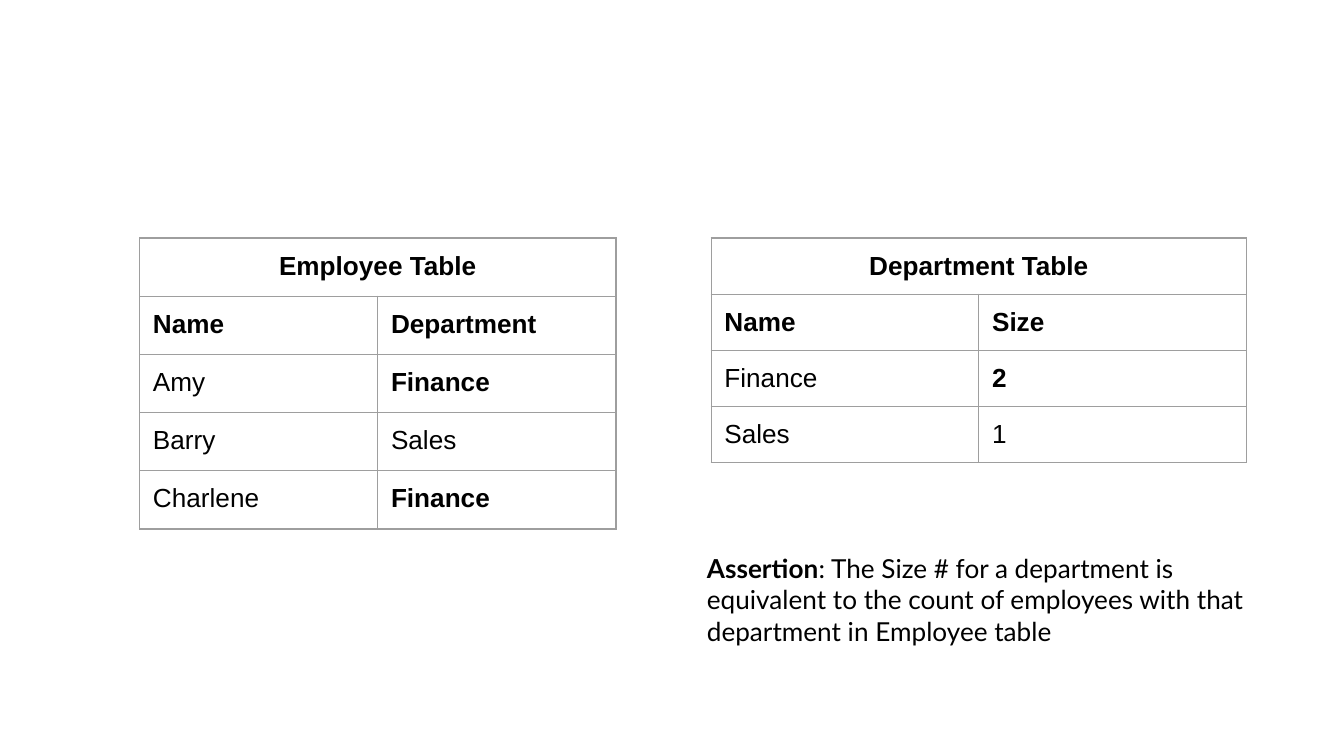
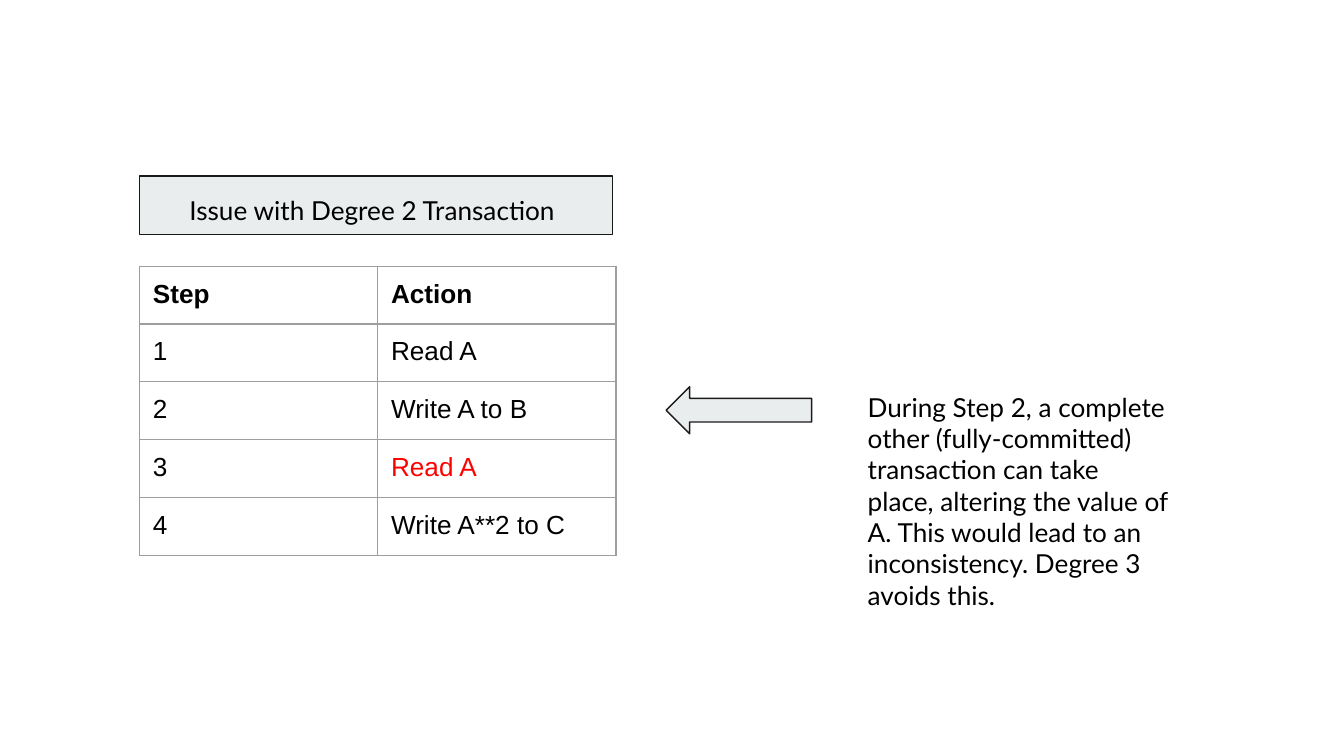
from lxml.etree import SubElement
from pptx import Presentation
from pptx.dml.color import RGBColor
from pptx.enum.shapes import MSO_SHAPE
from pptx.enum.text import MSO_ANCHOR, PP_ALIGN
from pptx.oxml.ns import qn
from pptx.util import Cm, Pt

BLACK, RED, GREY = "000000", "FF0000", "9E9E9E"
PANEL, OUTLINE = "E9EDEE", "1A1A1A"
BODY_FONT, TABLE_FONT = "Lato", "Arial"
TEXT_SIZE, LINE_WIDTH = Pt(14), Pt(0.75)
MARGIN = Cm(0.25)
LEFT = 2.64


def color(value):
    """Turn a hex string into a colour."""
    return RGBColor.from_string(value)


def style_font(font, name, bold=False, shade=BLACK):
    """Give a font the shared size and the chosen look."""
    font.name, font.size, font.bold = name, TEXT_SIZE, bold
    font.color.rgb = color(shade)


def set_margins(target):
    """Apply the shared inset to a cell or text frame."""
    target.margin_left = target.margin_right = MARGIN
    target.margin_top = target.margin_bottom = MARGIN


def add_borders(cell):
    """Draw a thin grey line on all four sides of a cell."""
    properties = cell._tc.get_or_add_tcPr()
    for side in ("lnL", "lnR", "lnT", "lnB"):
        line = SubElement(properties, qn(f"a:{side}"), w=str(LINE_WIDTH))
        fill = SubElement(line, qn("a:solidFill"))
        SubElement(fill, qn("a:srgbClr"), val=GREY)


def add_grid(page, box, rows, caption=None, bold=(), red=()):
    """Place a table with bold headings and an optional merged caption row."""
    left, top, column_width, row_height = box
    column_count = len(rows[0])
    header_count = 1
    if caption:
        rows = [[caption] + [""] * (column_count - 1)] + rows
        header_count = 2
    frame = page.shapes.add_table(
        len(rows), column_count, Cm(left), Cm(top),
        Cm(column_width * column_count), Cm(row_height * len(rows)))
    table = frame.table
    table.first_row = table.horz_banding = False
    for column in table.columns:
        column.width = Cm(column_width)
    for r, values in enumerate(rows):
        table.rows[r].height = Cm(row_height)
        for c, value in enumerate(values):
            cell = table.cell(r, c)
            add_borders(cell)
            cell.fill.background()
            set_margins(cell)
            cell.vertical_anchor = MSO_ANCHOR.TOP
            cell.text = value
            place = (r - header_count, c)
            style_font(cell.text_frame.paragraphs[0].font, TABLE_FONT,
                       r < header_count or place in bold,
                       RED if place in red else BLACK)
    if caption:
        table.cell(0, 0).merge(table.cell(0, column_count - 1))
        table.cell(0, 0).text_frame.paragraphs[0].alignment = PP_ALIGN.CENTER


def add_note(page, box, text, lead=""):
    """Place a wrapped text box, opening with an optional bold lead."""
    frame = page.shapes.add_textbox(*map(Cm, box)).text_frame
    frame.word_wrap = True
    set_margins(frame)
    para = frame.paragraphs[0]
    style_font(para.font, BODY_FONT)
    if lead:
        span = para.add_run()
        span.text = lead
        span.font.bold = True
    para.add_run().text = text


def add_panel(page, kind, box):
    """Place a pale shape with a dark outline."""
    shape = page.shapes.add_shape(kind, *map(Cm, box))
    shape.shadow.inherit = False
    shape.fill.solid()
    shape.fill.fore_color.rgb = color(PANEL)
    shape.line.color.rgb = color(OUTLINE)
    shape.line.width = LINE_WIDTH


def build_assertion_page(page):
    """Show the employee and department tables with their assertion."""
    top = 4.5
    add_grid(page, (LEFT, top, 4.5, 1.1),
             [["Name", "Department"], ["Amy", "Finance"],
              ["Barry", "Sales"], ["Charlene", "Finance"]],
             "Employee Table", bold={(0, 1), (2, 1)})
    add_grid(page, (13.44, top, 5.06, 1.06),
             [["Name", "Size"], ["Finance", "2"], ["Sales", "1"]],
             "Department Table", bold={(0, 1)})
    add_note(page, (13.11, 10.19, 10.82, 2.82),
             ": The Size # for a department is equivalent to the count of "
             "employees with that department in Employee table", "Assertion")


def build_transaction_page(page):
    """Show the transaction steps and the issue at step 2."""
    add_panel(page, MSO_SHAPE.RECTANGLE, (LEFT, 3.33, 8.94, 1.1))
    add_grid(page, (LEFT, 5.03, 4.5, 1.06),
             [["Step", "Action"], ["1", "Read A"], ["2", "Write A to B"],
              ["3", "Read A"], ["4", "Write A**2 to C"]], red={(2, 1)})
    add_note(page, (3.33, 3.43, 7.6, 0.9), "Issue with Degree 2 Transaction")
    add_panel(page, MSO_SHAPE.LEFT_ARROW, (12.59, 7.31, 2.75, 0.89))
    add_note(page, (16.15, 7.14, 6.2, 3.78),
             "During Step 2, a complete other (fully-committed) transaction "
             "can take place, altering the value of A. This would lead to an "
             "inconsistency. Degree 3 avoids this.")


def main():
    """Build and save the deck."""
    deck = Presentation()
    deck.slide_width, deck.slide_height = Cm(25.4), Cm(14.29)
    for build in (build_assertion_page, build_transaction_page):
        build(deck.slides.add_slide(deck.slide_layouts[6]))
    deck.save("out.pptx")


if __name__ == "__main__":
    main()
